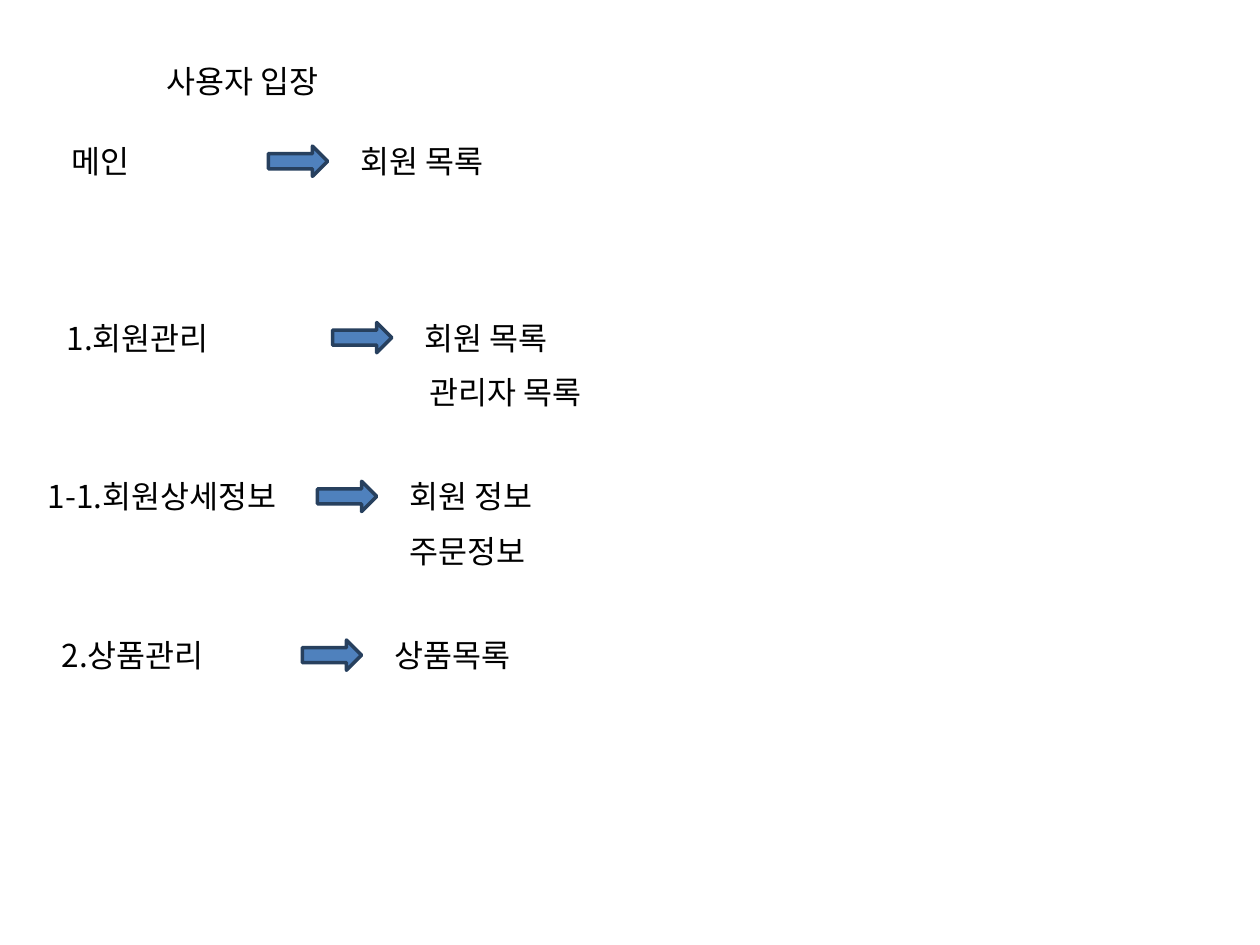
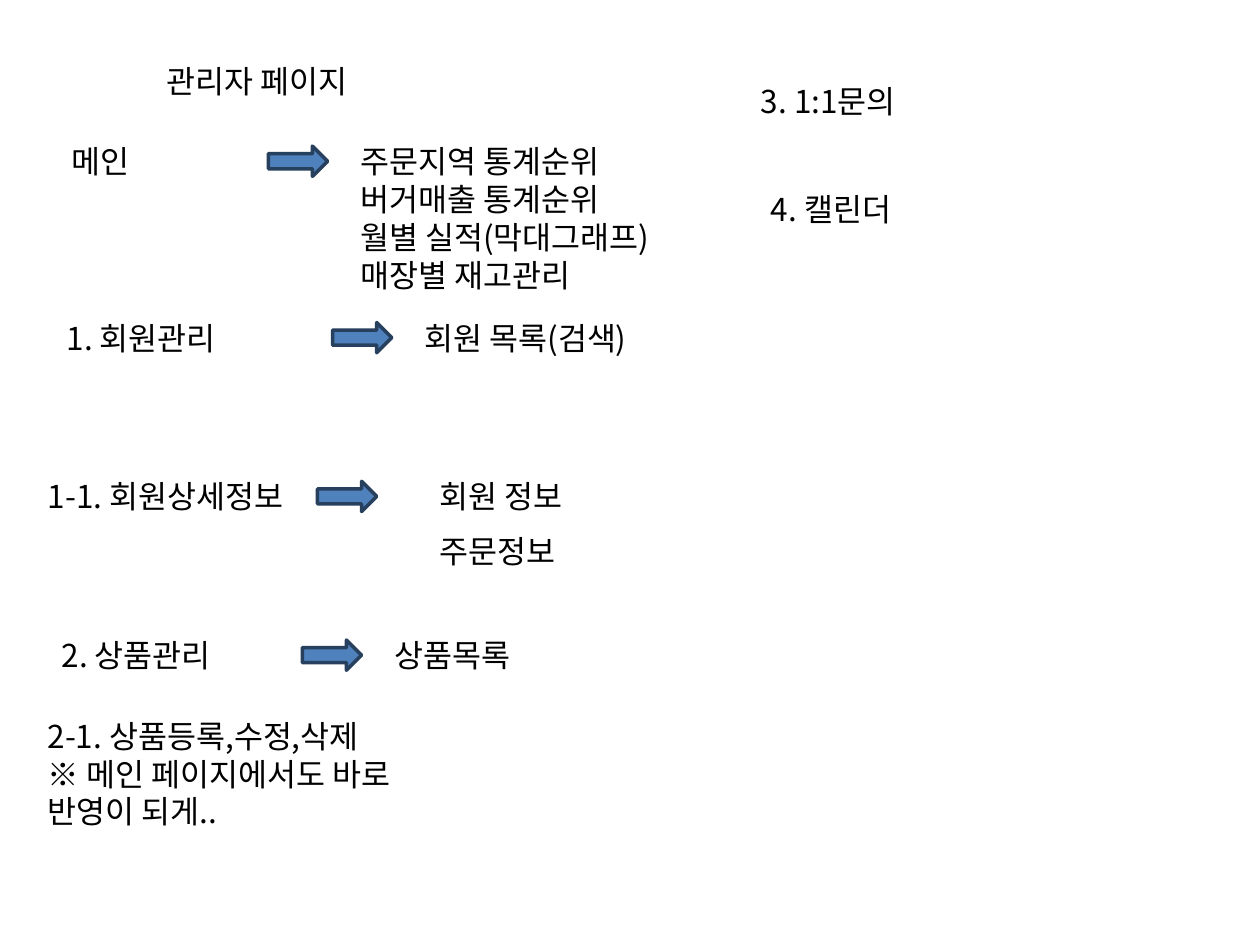
from pptx import Presentation
from pptx import util as u
from pptx.dml.color import RGBColor
from pptx.enum import shapes, text
from pptx.oxml import parse_xml
from pptx.oxml.ns import nsdecls

PX = u.Inches(1) // 100
FONT = "Noto Sans CJK KR"
INK, ARROW_FILL, ARROW_LINE = "000000", "4F81BD", "27405E"
LABEL_WIDTH, LINE_HEIGHT = 228, 40
ARROW_WIDTH, ARROW_HEIGHT, ARROW_DROP = 47, 24, 8
RESULT_OFFSET, SECOND_RESULT_DROP = 63, 43

# menu: (label left, row top, arrow left)
MENU_ROWS = {
    "main": (47, 108, 213),
    "members": (43, 248, 264),
    "details": (28, 374, 252),
    "products": (39, 500, 240),
}


def color(value):
    return RGBColor.from_string(value)


def set_all(target, values):
    for name, value in values.items():
        setattr(target, name, value)


class Page:
    FRAME = {"word_wrap": True, "vertical_anchor": text.MSO_ANCHOR.TOP,
             "auto_size": text.MSO_AUTO_SIZE.SHAPE_TO_FIT_TEXT}
    SPAN = {"name": FONT, "size": u.Pt(18)}

    def __init__(self, deck):
        self.slide = deck.slides.add_slide(deck.slide_layouts[5])

    def fill_text(self, box, lines):
        frame = box.text_frame
        set_all(frame, self.FRAME)
        for index, line in enumerate(lines):
            para = frame.add_paragraph() if index else frame.paragraphs[0]
            para.alignment = text.PP_ALIGN.LEFT
            span = para.add_run()
            span.text = line
            set_all(span.font, self.SPAN)
            span.font.color.rgb = color(INK)
            east_asian = parse_xml(f'<a:ea {nsdecls("a")} typeface="{FONT}"/>')
            span.font._element.find("{*}latin").addnext(east_asian)

    def title(self, line):
        box = self.slide.shapes.title
        set_all(box, {"left": 122 * PX, "top": 44 * PX,
                      "width": LABEL_WIDTH * PX, "height": LINE_HEIGHT * PX})
        self.fill_text(box, [line])

    def label(self, left, top, *lines, width=LABEL_WIDTH, height=LINE_HEIGHT):
        box = self.slide.shapes.add_textbox(
            *(n * PX for n in (left, top, width, height)))
        self.fill_text(box, lines)

    def arrow(self, left, top):
        arrow = self.slide.shapes.add_shape(
            shapes.MSO_SHAPE.RIGHT_ARROW,
            *(n * PX for n in (left, top, ARROW_WIDTH, ARROW_HEIGHT)))
        arrow.shadow.inherit = False
        arrow.fill.solid()
        arrow.fill.fore_color.rgb = color(ARROW_FILL)
        arrow.line.color.rgb = color(ARROW_LINE)
        arrow.line.width = u.Pt(2)

    def menu(self, row, name, *result, shift=0, width=157, height=LINE_HEIGHT):
        """Add a menu name, an arrow and the result the menu leads to."""
        left, top, arrow_left = MENU_ROWS[row]
        self.label(left, top, name)
        self.arrow(arrow_left, top + ARROW_DROP)
        self.label(arrow_left + RESULT_OFFSET + shift, top, *result,
                   width=width, height=height)

    def second_result(self, row, line, shift=0):
        _, top, arrow_left = MENU_ROWS[row]
        self.label(arrow_left + RESULT_OFFSET + shift,
                   top + SECOND_RESULT_DROP, line, width=157)


def user_page(deck):
    page = Page(deck)
    page.title("사용자 입장")
    page.menu("main", "메인", "회원 목록", width=142)
    page.menu("members", "1.회원관리", "회원 목록", width=142)
    page.second_result("members", "관리자 목록", shift=4)
    page.menu("details", "1-1.회원상세정보", "회원 정보", width=142)
    page.second_result("details", "주문정보")
    page.menu("products", "2.상품관리", "상품목록")


def admin_page(deck):
    page = Page(deck)
    page.title("관리자 페이지")
    page.menu("main", "메인", "주문지역 통계순위", "버거매출 통계순위",
              "월별 실적(막대그래프)", "매장별 재고관리", width=287, height=192)
    page.menu("members", "1. 회원관리", "회원 목록(검색)", width=213)
    page.menu("details", "1-1. 회원상세정보", "회원 정보", shift=24, width=142)
    page.second_result("details", "주문정보", shift=24)
    page.menu("products", "2. 상품관리", "상품목록")
    page.label(28, 564, "2-1. 상품등록,수정,삭제",
               "※ 메인 페이지에서도 바로 반영이 되게..", width=307, height=99)
    page.label(594, 60, "3. 1:1문의")
    page.label(602, 146, "4. 캘린더")


def main():
    deck = Presentation()
    set_all(deck, {"slide_width": 1000 * PX, "slide_height": 750 * PX})
    user_page(deck)
    admin_page(deck)
    deck.save("out.pptx")


if __name__ == "__main__":
    main()
